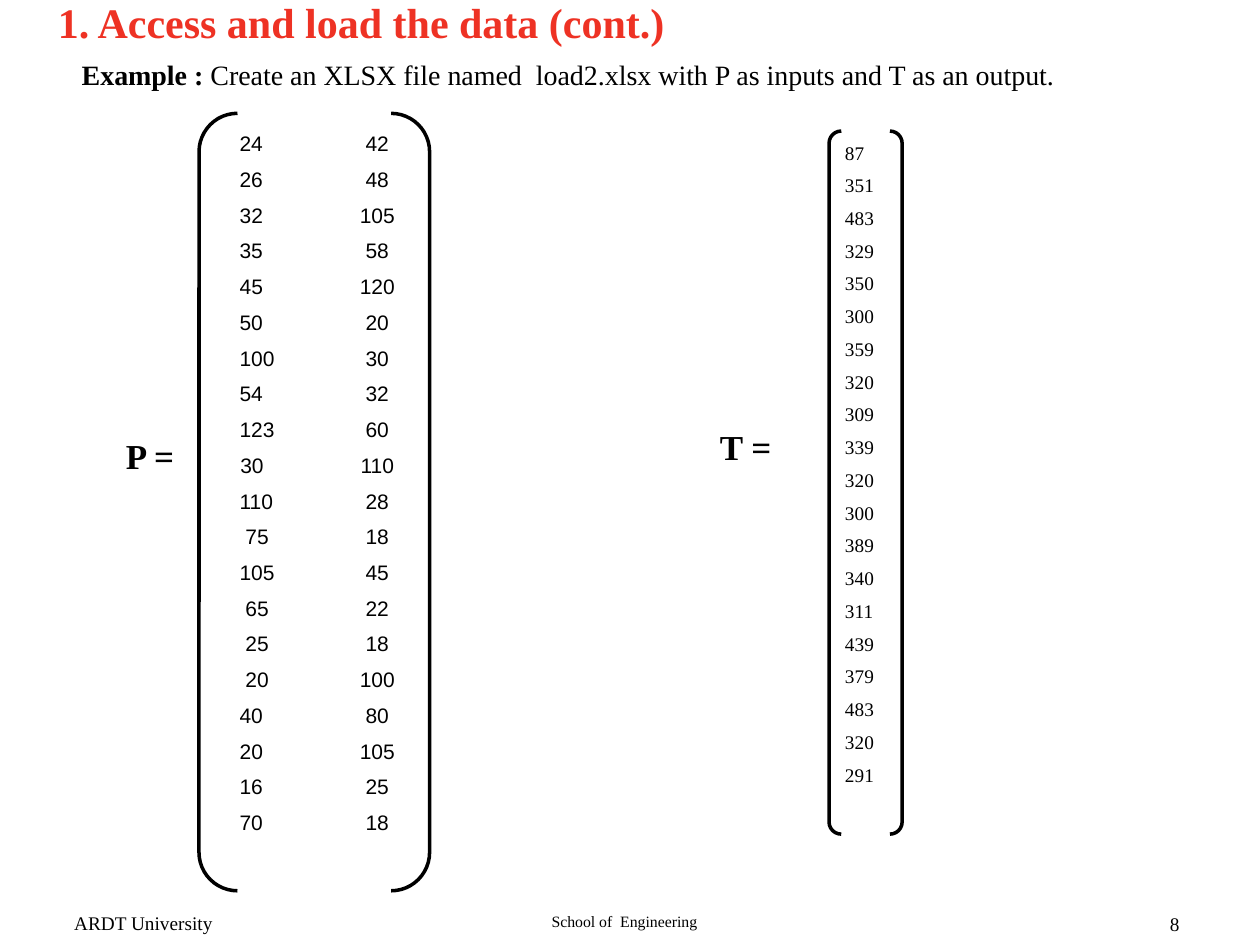
from lxml.etree import SubElement
from pptx import Presentation
from pptx.dml.color import RGBColor as Rgb
from pptx.enum.shapes import MSO_SHAPE as Kind
from pptx.enum.text import MSO_ANCHOR as Anchor, MSO_AUTO_SIZE as Auto, PP_ALIGN as Align
from pptx.oxml.ns import qn
from pptx.util import Inches, Pt

HEAD = "1. Access and load the data (cont.)"
TASK = ("Example : ", "Create an XLSX file named  load2.xlsx with P as inputs and T as an output.")
INPUTS = [
    ("24", "42"), ("26", "48"), (" 32", "105"), ("35", "58"), (" 45", "120"),
    ("50", "20"), ("100", "30"), ("54", "32"), ("123", "60"), (" 30", "110"),
    ("110", "28"), (" 75", "18"), ("105", "45"), (" 65", "22"), (" 25", "18"),
    ("  20", "100"), ("40", "80"), (" 20", "105"), ("16", "25"), ("70", "18"),
]
OUTPUT = [87, 351, 483, 329, 350, 300, 359, 320, 309, 339,
          320, 300, 389, 340, 311, 439, 379, 483, 320, 291]
NAMES = [("P =", (0.75, 3.03, 0.73, 1.17)), ("T =", (5.49, 2.96, 0.73, 1.17))]
FOOT = [
    ("ARDT University", (0.49, 7.18, 2.33, 0.24), "foot", Align.LEFT),
    ("School of  Engineering", (2.86, 7.19, 4.19, 0.24), "unit", Align.CENTER),
    ("8", (7.13, 7.19, 2.33, 0.24), "foot", Align.RIGHT),
]
THEME = {
    "serif": "Times New Roman", "sans": "Arial",
    "ink": Rgb.from_string("000000"), "red": Rgb.from_string("EE3224"),
    "head": 24, "name": 20, "task": 16, "cell": 12, "foot": 11, "unit": 9, "line": 2,
}


def place(shape, box):
    shape.left, shape.top, shape.width, shape.height = map(Inches, box)


def style(para, size, face="serif", ink="ink", bold=False, align=Align.LEFT):
    para.alignment = align
    font = para.font
    font.name, font.size, font.bold = THEME[face], Pt(THEME[size]), bold
    font.color.rgb = THEME[ink]


def frame(shape, anchor=Anchor.TOP):
    text = shape.text_frame
    text.word_wrap, text.auto_size = True, Auto.NONE
    text.vertical_anchor = anchor
    return text


def label(slide, words, box, size, anchor=Anchor.TOP, **look):
    text = frame(slide.shapes.add_textbox(*map(Inches, box)), anchor)
    para = text.paragraphs[0]
    para.text = words
    style(para, size, **look)
    return para


def outline(shape):
    shape.fill.background()
    shape.line.color.rgb = THEME["ink"]
    shape.line.width = Pt(THEME["line"])


def fill_rows(text, rows, size, face, align):
    text.text = "\n".join(rows)
    for para in text.paragraphs:
        prop = para._p.get_or_add_pPr()
        for key, size_in in (("marL", 0), ("indent", 0), ("defTabSz", 1)):
            prop.set(key, str(Inches(size_in)))
        SubElement(prop, qn("a:buNone"))
        para.space_before, para.space_after = Pt(0), Pt(THEME[size] / 2)
        style(para, size, face, align=align)


def main():
    deck = Presentation()
    deck.slide_width, deck.slide_height = Inches(10), Inches(7.5)
    slide = deck.slides.add_slide(deck.slide_layouts[1])
    title, body = slide.placeholders

    place(title, (0.36, -0.08, 5.17, 0.5))
    text = frame(title)
    text.word_wrap = False
    text.text = HEAD
    style(text.paragraphs[0], "head", ink="red", bold=True)

    place(body, (1.58, 0.9, 1.83, 6.17))
    SubElement(body._element.spPr, qn("a:prstGeom"), prst="bracketPair")
    outline(body)
    rows = ["\t".join(row) for row in INPUTS]
    fill_rows(frame(body), rows, "cell", "sans", Align.CENTER)

    box = map(Inches, (6.58, 1.04, 0.58, 5.58))
    target = slide.shapes.add_shape(Kind.DOUBLE_BRACKET, *box)
    target.shadow.inherit = False
    outline(target)
    fill_rows(frame(target), map(str, OUTPUT), "foot", "serif", Align.LEFT)

    para = label(slide, TASK[0], (0.55, 0.41, 8.12, 0.37), "task")
    para.runs[0].font.bold = True
    para.add_run().text = TASK[1]

    for words, spot in NAMES:
        label(slide, words, spot, "name", Anchor.MIDDLE, bold=True, align=Align.RIGHT)
    for words, spot, size, align in FOOT:
        label(slide, words, spot, size, align=align)

    deck.save("out.pptx")


if __name__ == "__main__":
    main()
